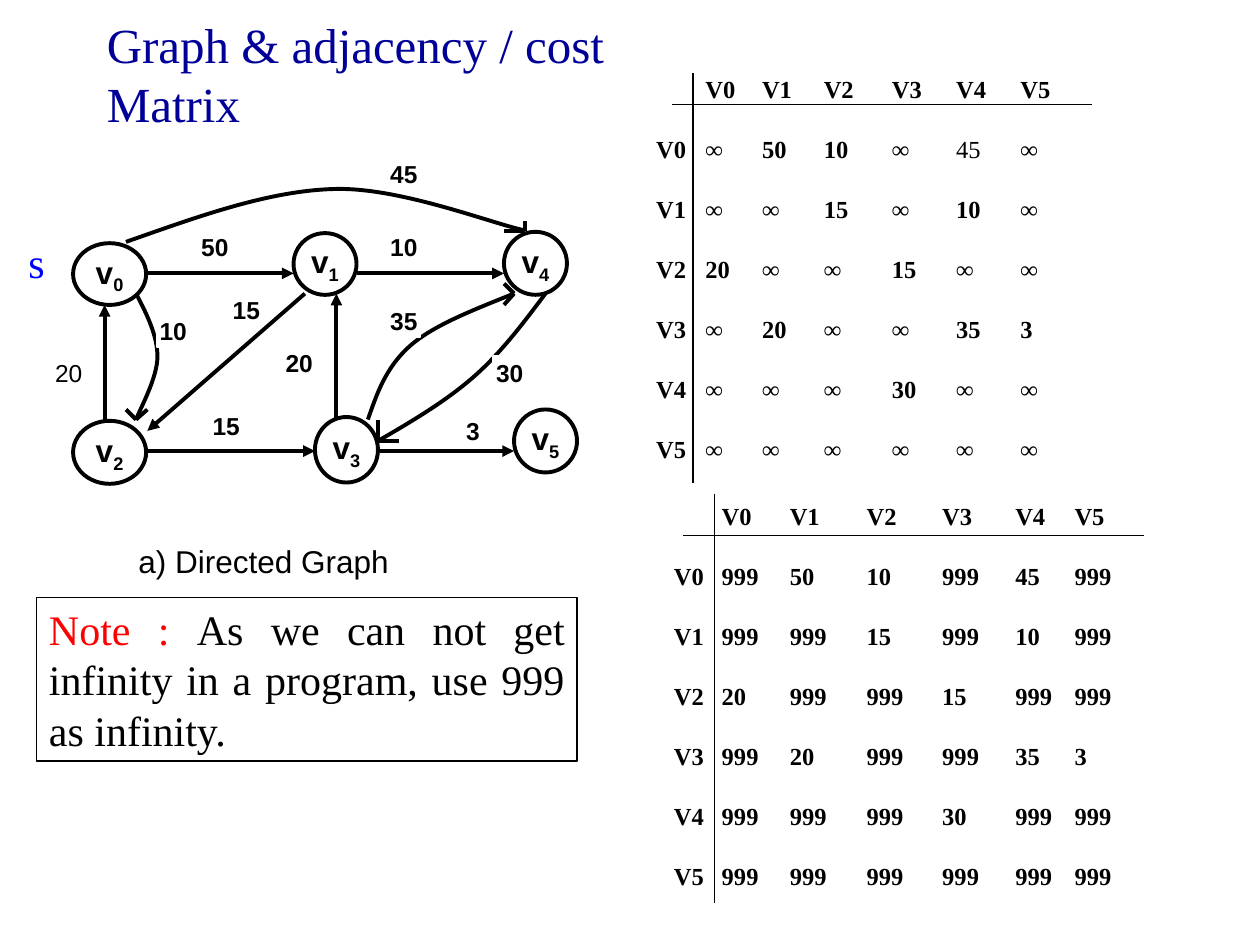
from lxml import etree
from pptx import Presentation
from pptx.dml.color import RGBColor
from pptx.enum.shapes import MSO_CONNECTOR, MSO_SHAPE
from pptx.enum.text import MSO_ANCHOR, PP_ALIGN
from pptx.oxml.ns import qn
from pptx.util import Inches, Pt

BLACK = RGBColor(0x00, 0x00, 0x00)
WHITE = RGBColor(0xFF, 0xFF, 0xFF)
NAVY = RGBColor(0x00, 0x00, 0x99)
BLUE = RGBColor(0x00, 0x00, 0xFF)
RED = RGBColor(0xFF, 0x00, 0x00)
SANS, SERIF = "Arial", "Times New Roman"
THICK, THIN = 2.25, 0.75
OVAL, RECT = MSO_SHAPE.OVAL, MSO_SHAPE.RECTANGLE
STRAIGHT = MSO_CONNECTOR.STRAIGHT
TOP, MIDDLE = MSO_ANCHOR.TOP, MSO_ANCHOR.MIDDLE
LEFT, CENTER, JUSTIFY = PP_ALIGN.LEFT, PP_ALIGN.CENTER, PP_ALIGN.JUSTIFY

NODES = [
    (0.58, 1.93, 0.58, 0.49), (2.33, 1.85, 0.5, 0.49), (0.58, 3.34, 0.58, 0.5),
    (2.5, 3.31, 0.5, 0.52), (4, 1.84, 0.5, 0.5), (4.08, 3.25, 0.5, 0.5),
]
STRAIGHT_EDGES = [
    (0.83, 3.33, 0.83, 2.42), (1.17, 2.17, 2.33, 2.17), (2.83, 2.17, 4, 2.17),
    (1.17, 3.58, 2.5, 3.58), (3, 3.58, 4.08, 3.58), (2.67, 3.33, 2.67, 2.33),
    (2.42, 2.33, 1.17, 3.42),
]
# Each curve: start point, then two control points and an end point per segment
CURVED_EDGES = [
    [(1.08, 2.33), (1.17, 2.5), (1.25, 2.67), (1.25, 2.83),
     (1.25, 3), (1.11, 3.25), (1.08, 3.33)],
    [(1, 1.92), (1.57, 1.72), (2.14, 1.51), (2.67, 1.5),
     (3.19, 1.49), (3.92, 1.78), (4.17, 1.83)],
    [(3, 3.5), (3.26, 3.35), (3.53, 3.19), (3.75, 3),
     (3.97, 2.81), (4.15, 2.57), (4.33, 2.33)],
    [(2.92, 3.33), (2.99, 3.13), (3.06, 2.92), (3.25, 2.75),
     (3.44, 2.58), (3.76, 2.46), (4.08, 2.33)],
]
# Each open arrow tip: the tip and the ends of its two barbs
ARROW_TIPS = [
    ((1.08, 3.33), (1, 3.25), (1.17, 3.25)),
    ((4.17, 1.83), (4.17, 1.75), (4, 1.83)),
    ((4.08, 2.33), (4, 2.25), (4, 2.42)),
    ((3, 3.5), (3, 3.33), (3.17, 3.5)),
]
# Cost, left, top, side, bold
COSTS = [
    ("20", 0.42, 2.83, 0.25, False), ("10", 1.25, 2.5, 0.25, True),
    ("50", 1.58, 1.83, 0.25, True), ("10", 3.08, 1.83, 0.25, True),
    ("15", 1.67, 3.25, 0.25, True), ("3", 3.67, 3.33, 0.17, True),
    ("30", 3.92, 2.83, 0.25, True), ("35", 3.08, 2.42, 0.25, True),
    ("45", 3.08, 1.25, 0.25, True), ("20", 2.25, 2.75, 0.25, True),
    ("15", 1.83, 2.33, 0.25, True),
]
COST_MATRIX = [
    ["∞", "50", "10", "∞", "45", "∞"],
    ["∞", "∞", "15", "∞", "10", "∞"],
    ["20", "∞", "∞", "15", "∞", "∞"],
    ["∞", "20", "∞", "∞", "35", "3"],
    ["∞", "∞", "∞", "30", "∞", "∞"],
    ["∞", "∞", "∞", "∞", "∞", "∞"],
]
PROGRAM_MATRIX = [["999" if cost == "∞" else cost for cost in row] for row in COST_MATRIX]


class GraphSlide:
    def __init__(self, slide):
        self.shapes = slide.shapes

    def style_run(self, run, size, color=BLACK, font=SERIF, bold=False):
        run.font.size = Pt(size)
        run.font.name = font
        run.font.bold = bold
        run.font.color.rgb = color

    def fill_text(self, shape, parts, size, font=SERIF, bold=False,
                  align=LEFT, anchor=TOP, wrap=True):
        """Fill a shape with one paragraph of (text, colour) parts."""
        frame = shape.text_frame
        frame.word_wrap = wrap
        frame.vertical_anchor = anchor
        paragraph = frame.paragraphs[0]
        paragraph.alignment = align
        for text, color in parts:
            run = paragraph.add_run()
            run.text = text
            self.style_run(run, size, color, font, bold)
        return paragraph

    def text(self, box, text, size, color=BLACK, font=SERIF, anchor=TOP):
        label = self.shapes.add_textbox(*map(Inches, box))
        self.fill_text(label, [(text, color)], size, font, anchor=anchor)

    def shape(self, kind, box, fill, line, width):
        shape = self.shapes.add_shape(kind, *map(Inches, box))
        shape.shadow.inherit = False
        if fill is None:
            shape.fill.background()
        else:
            shape.fill.solid()
            shape.fill.fore_color.rgb = fill
        shape.line.color.rgb = line
        shape.line.width = Pt(width)
        return shape

    def node(self, index, box):
        circle = self.shape(OVAL, box, WHITE, BLACK, THICK)
        name = self.fill_text(circle, [("v", BLACK), (str(index), BLACK)], 18, SANS,
                              True, CENTER, MIDDLE, wrap=False)
        name.runs[1].font._element.set("baseline", "-25000")

    def tag(self, box, text, size, color=BLACK, font=SANS, bold=False, width=THICK):
        patch = self.shape(RECT, box, WHITE, WHITE, width)
        self.fill_text(patch, [(text, color)], size, font, bold, CENTER, MIDDLE,
                       wrap=False)

    def line(self, start, end, width=THICK, arrow=False):
        line = self.shapes.add_connector(STRAIGHT, *map(Inches, (*start, *end)))
        line.line.color.rgb = BLACK
        line.line.width = Pt(width)
        properties = line._element.spPr
        if arrow:
            etree.SubElement(properties.find(qn("a:ln")), qn("a:tailEnd"), type="triangle")
        etree.SubElement(properties, qn("a:effectLst"))

    def curve(self, points):
        """Draw a freeform and merge each three line segments into a Bézier one."""
        start, *rest = [(Inches(x), Inches(y)) for x, y in points]
        builder = self.shapes.build_freeform(*start)
        builder.add_line_segments(rest, close=False)
        curve = builder.convert_to_shape()
        segments = list(curve._element.iter(qn("a:lnTo")))
        for first in range(0, len(segments), 3):
            bezier = etree.Element(qn("a:cubicBezTo"))
            segments[first].addprevious(bezier)
            for segment in segments[first:first + 3]:
                bezier.append(segment[0])
                segment.getparent().remove(segment)
        curve.shadow.inherit = False
        curve.fill.background()
        curve.line.color.rgb = BLACK
        curve.line.width = Pt(THICK)

    def matrix(self, box, costs, stops, regular=None):
        """Set a matrix on tab stops; regular is the (row, column) not in bold."""
        frame = self.shapes.add_textbox(*map(Inches, box)).text_frame
        frame.word_wrap = True
        names = [f"V{index}" for index in range(len(costs))]
        rows = [["", *names]] + [[name, *row] for name, row in zip(names, costs)]
        for r, row in enumerate(rows):
            paragraph = frame.add_paragraph() if r else frame.paragraphs[0]
            paragraph.space_before = Pt(17.5 if r else 0)
            tabs = etree.SubElement(paragraph._p.get_or_add_pPr(), qn("a:tabLst"))
            for stop in stops:
                etree.SubElement(tabs, qn("a:tab"), pos=str(Inches(stop)), algn="l")
            for c, cell in enumerate(row):
                run = paragraph.add_run()
                run.text = f"\t{cell}" if c else cell
                self.style_run(run, 14, bold=(r - 1, c - 1) != regular)


def main():
    presentation = Presentation()
    presentation.slide_width = Inches(10)
    presentation.slide_height = Inches(7.5)
    page = GraphSlide(presentation.slides.add_slide(presentation.slide_layouts[6]))

    page.text((0.75, 0.17, 4.33, 0.83), "Graph & adjacency / cost Matrix", 28, NAVY,
              anchor=MIDDLE)
    for index, box in enumerate(NODES):
        page.node(index, box)
    for x1, y1, x2, y2 in STRAIGHT_EDGES:
        page.line((x1, y1), (x2, y2), arrow=True)
    for points in CURVED_EDGES:
        page.curve(points)
    for tip, *barbs in ARROW_TIPS:
        for barb in barbs:
            page.line(tip, barb)
    for cost, left, top, side, bold in COSTS:
        page.tag((left, top, side, side), cost, 14, bold=bold)
    page.tag((0.08, 1.83, 0.42, 0.5), "s", 24, BLUE, SERIF, width=THIN)
    page.text((1, 4.25, 2.88, 0.4), "a) Directed Graph", 18, font=SANS)

    page.matrix((5.11, 0.54, 4.5, 3.37), COST_MATRIX,
                (0.39, 0.84, 1.33, 1.87, 2.38, 2.89), regular=(0, 4))
    page.line((5.33, 0.83), (8.67, 0.83), THIN)
    page.line((5.5, 0.58), (5.5, 3.83), THIN)
    page.matrix((5.25, 3.93, 4.5, 3.37), PROGRAM_MATRIX,
                (0.38, 0.92, 1.53, 2.13, 2.71, 3.18))
    page.line((5.67, 3.92), (5.67, 7.17), THIN)
    page.line((5.42, 4.25), (9.08, 4.25), THIN)

    note = page.shape(RECT, (0.29, 4.74, 4.29, 1.3), None, BLACK, THIN)
    page.fill_text(note, [
        ("Note : ", RED),
        ("As we can not get infinity in a program, use 999 as infinity.", BLACK),
    ], 24, align=JUSTIFY)
    presentation.save("out.pptx")


if __name__ == "__main__":
    main()
